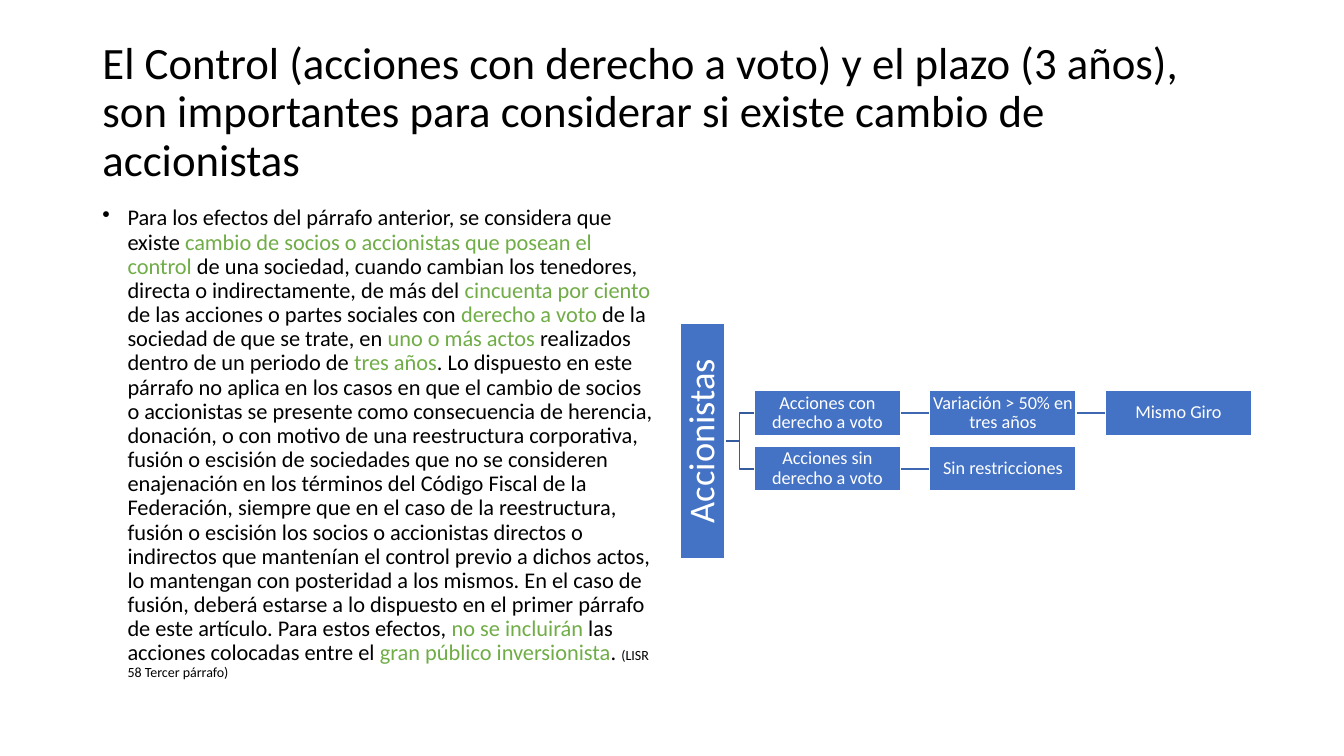
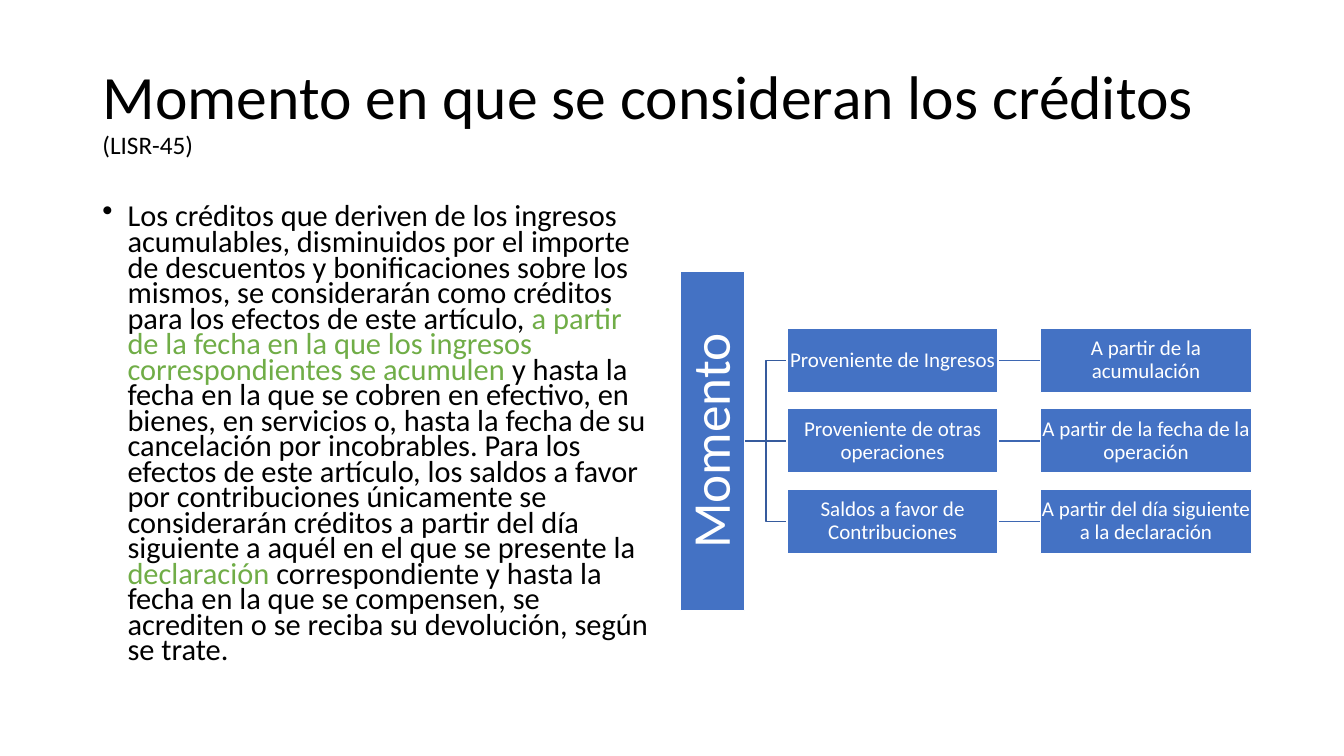
from pptx import Presentation
from pptx.dml.color import RGBColor
from pptx.enum.shapes import MSO_CONNECTOR, MSO_SHAPE
from pptx.enum.text import MSO_ANCHOR, MSO_AUTO_SIZE, PP_ALIGN
from pptx.oxml.ns import qn
from pptx.util import Emu, Pt
from lxml import etree

RECTANGLE = MSO_SHAPE.RECTANGLE
STRAIGHT, ELBOW = MSO_CONNECTOR.STRAIGHT, MSO_CONNECTOR.ELBOW
LEFT, CENTER = PP_ALIGN.LEFT, PP_ALIGN.CENTER
TOP, MIDDLE = MSO_ANCHOR.TOP, MSO_ANCHOR.MIDDLE
NO_AUTOFIT = MSO_AUTO_SIZE.NONE

COLUMNS, ROWS, CELL = 160, 90, 76200
MARGIN, HALF_WIDTH, FULL_WIDTH = 11, 68, 138
TREE_LEFT, TREE_MIDDLE = 81, 52.5
BOX_RATIO, COLUMN_GAP, ROW_GAP, ROOT_RATIO = 0.305, 0.2, 0.25, 5.26
FONT = "Calibri"
COLORS = {
    "text": "000000",
    "accent": "70AD47",
    "box": "4472C4",
    "box_text": "FFFFFF",
    "branch": "365B9D",
    "link": "3E67B2",
}
GREEN = {"color": "accent"}


def grid(*lengths):
    return [Emu(round(length * CELL)) for length in lengths]


def rgb(name):
    return RGBColor.from_string(COLORS[name])


def write(frame, text, size, color="text", align=LEFT, anchor=TOP,
          spacing=0.9, inset=None, bullet=False):
    frame.word_wrap = True
    frame.auto_size = NO_AUTOFIT
    frame.vertical_anchor = anchor
    if inset is not None:
        frame.margin_left = frame.margin_right = Pt(inset)
        frame.margin_top = frame.margin_bottom = Pt(inset)
    paragraph = frame.paragraphs[0]
    if bullet:
        properties = paragraph._p.get_or_add_pPr()
        indent = grid(3)[0]
        properties.set("marL", str(indent))
        properties.set("indent", str(-indent))
        etree.SubElement(properties, qn("a:buChar")).set("char", "•")
    paragraph.alignment = align
    paragraph.line_spacing = spacing
    pieces = [(text, {})] if isinstance(text, str) else text
    for words, change in pieces:
        run = paragraph.add_run()
        run.text = words
        run.font.name = FONT
        run.font.size = Pt(change.get("size", size))
        run.font.color.rgb = rgb(change.get("color", color))


class Deck:
    """Holds the shared style and the slide being built."""

    def __init__(self):
        self.presentation = Presentation()
        self.presentation.slide_width, self.presentation.slide_height = grid(COLUMNS, ROWS)
        self.slide = None

    def add_slide(self, title, size):
        layout = self.presentation.slide_layouts[5]
        self.slide = self.presentation.slides.add_slide(layout)
        heading = self.slide.shapes.title
        heading.left, heading.top, heading.width, heading.height = grid(
            MARGIN, 4.8, FULL_WIDTH, 17.4)
        write(heading.text_frame, title, size, anchor=MIDDLE)

    def body(self, text, size, spacing=0.9):
        area = self.slide.shapes.add_textbox(*grid(MARGIN, 24, HALF_WIDTH, 57))
        write(area.text_frame, text, size, spacing=spacing, bullet=True)

    def box(self, center_x, center_y, width, height, text, size, inset=1, rotation=0):
        box = self.slide.shapes.add_shape(RECTANGLE, *grid(
            center_x - width / 2, center_y - height / 2, width, height))
        box.rotation = rotation
        box.shadow.inherit = False
        box.fill.solid()
        box.fill.fore_color.rgb = rgb("box")
        box.line.color.rgb = rgb("box_text")
        box.line.width = Pt(1)
        write(box.text_frame, text, size, color="box_text", align=CENTER,
              anchor=MIDDLE, inset=inset)

    def link(self, start_x, start_y, end_x, end_y, color):
        kind = STRAIGHT if start_y == end_y else ELBOW
        link = self.slide.shapes.add_connector(kind, *grid(start_x, start_y, end_x, end_y))
        link.line.color.rgb = rgb(color)
        link.line.width = Pt(1)
        etree.SubElement(link._element.spPr, qn("a:effectLst"))

    def tree(self, root, root_size, branches, size):
        levels = max(len(branch) for branch in branches)
        width = HALF_WIDTH / (BOX_RATIO + levels * (1 + COLUMN_GAP))
        height, gap = width * BOX_RATIO, width * COLUMN_GAP
        root_right = TREE_LEFT + height
        nodes = []
        for row, branch in enumerate(branches):
            y = TREE_MIDDLE + (row - (len(branches) - 1) / 2) * height * (1 + ROW_GAP)
            for level, text in enumerate(branch):
                left = root_right + gap + level * (width + gap)
                start_y = y if level else TREE_MIDDLE
                self.link(left - gap, start_y, left, y, "link" if level else "branch")
                nodes.append((left + width / 2, y, text))
        self.box(TREE_LEFT + height / 2, TREE_MIDDLE, height * ROOT_RATIO, height,
                 root, root_size, inset=2, rotation=270)
        for x, y, text in nodes:
            self.box(x, y, width, height, text, size)


def main():
    deck = Deck()
    deck.add_slide("El Control (acciones con derecho a voto) y el plazo (3 años), son "
                   "importantes para considerar si existe cambio de accionistas", 32)
    deck.body([
        ("Para los efectos del párrafo anterior, se considera que existe ", {}),
        ("cambio de socios o accionistas que posean el control ", GREEN),
        ("de una sociedad, cuando cambian los tenedores, directa o indirectamente, "
         "de más del ", {}),
        ("cincuenta por ciento", GREEN),
        (" de las acciones o partes sociales con ", {}),
        ("derecho a voto", GREEN),
        (" de la sociedad de que se trate, en ", {}),
        ("uno o más actos", GREEN),
        (" realizados dentro de un periodo de ", {}),
        ("tres años", GREEN),
        (". Lo dispuesto en este párrafo no aplica en los casos en que el cambio de "
         "socios o accionistas se presente como consecuencia de herencia, donación, o "
         "con motivo de una reestructura corporativa, fusión o escisión de sociedades "
         "que no se consideren enajenación en los términos del Código Fiscal de la "
         "Federación, siempre que en el caso de la reestructura, fusión o escisión los "
         "socios o accionistas directos o indirectos que mantenían el control previo a "
         "dichos actos, lo mantengan con posteridad a los mismos. En el caso de fusión, "
         "deberá estarse a lo dispuesto en el primer párrafo de este artículo. Para "
         "estos efectos, ", {}),
        ("no se incluirán", GREEN),
        (" las acciones colocadas entre el ", {}),
        ("gran público inversionista", GREEN),
        (". ", {}),
        ("(LISR 58 Tercer párrafo)", {"size": 10}),
    ], 16)
    deck.tree("Accionistas", 26, [
        ["Acciones con derecho a voto", "Variación > 50% en tres años", "Mismo Giro"],
        ["Acciones sin derecho a voto", "Sin restricciones"],
    ], 13)

    deck.add_slide([("Momento en que se consideran los créditos ", {}),
                    ("(LISR-45)", {"size": 18})], 44)
    deck.body([
        ("Los créditos que deriven de los ingresos acumulables, disminuidos por el "
         "importe de descuentos y bonificaciones sobre los mismos, se considerarán como "
         "créditos para los efectos de este artículo, ", {}),
        ("a partir de la fecha en la que los ingresos correspondientes se acumulen", GREEN),
        (" y hasta la fecha en la que se cobren en efectivo, en bienes, en servicios o, "
         "hasta la fecha de su cancelación por incobrables. Para los efectos de este "
         "artículo, los saldos a favor por contribuciones únicamente se considerarán "
         "créditos a partir del día siguiente a aquél en el que se presente la ", {}),
        ("declaración", GREEN),
        (" correspondiente y hasta la fecha en la que se compensen, se acrediten o se "
         "reciba su devolución, según se trate.", {}),
    ], 21.7, spacing=0.7)
    deck.tree("Momento", 38, [
        ["Proveniente de Ingresos", "A partir de la acumulación"],
        ["Proveniente de otras operaciones", "A partir de la fecha de la operación"],
        ["Saldos a favor de Contribuciones", "A partir del día siguiente a la declaración"],
    ], 15)
    deck.presentation.save("out.pptx")


if __name__ == "__main__":
    main()
